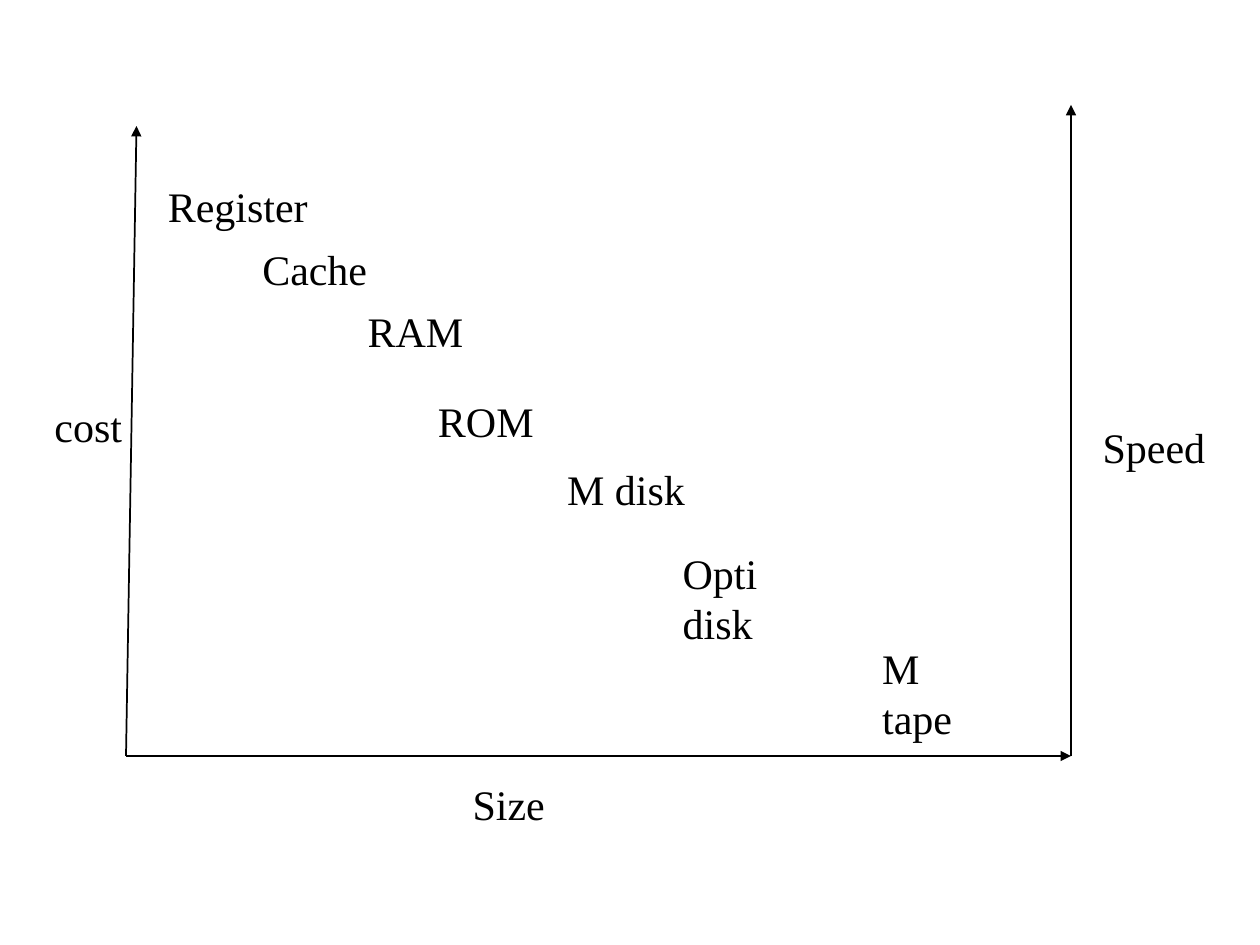
from lxml import etree
from pptx import Presentation
from pptx.dml.color import RGBColor
from pptx.enum import shapes, text
from pptx.oxml import ns
from pptx.util import Pt

INK = "000000"
FONT = "Times New Roman"
LABEL_HEIGHT = 36


def colour(value):
    return RGBColor.from_string(value)


def add_arrow(slide, start, end):
    arrow = slide.shapes.add_connector(
        shapes.MSO_CONNECTOR.STRAIGHT, *(Pt(value) for value in start + end)
    )
    arrow.line.color.rgb = colour(INK)
    arrow.line.width = Pt(1)
    outline = arrow.line._get_or_add_ln()
    etree.SubElement(outline, ns.qn("a:tailEnd"), type="triangle")
    etree.SubElement(arrow._element.spPr, ns.qn("a:effectLst"))


def add_label(slide, wording, left, top, width, wrap=False):
    label = slide.shapes.add_textbox(Pt(left), Pt(top), Pt(width), Pt(LABEL_HEIGHT))
    frame = label.text_frame
    frame.word_wrap = wrap
    frame.auto_size = text.MSO_AUTO_SIZE.SHAPE_TO_FIT_TEXT
    frame.text = wording
    font = frame.paragraphs[0].runs[0].font
    font.name = FONT
    font.size = Pt(24)
    font.color.rgb = colour(INK)


def add_axes(slide, left, top, width, height):
    right, bottom = left + width, top + height
    origin, corner = (left, bottom), (right, bottom)
    add_arrow(slide, origin, (left + 6, top + 12))
    add_arrow(slide, origin, corner)
    add_arrow(slide, corner, (right, top))
    add_label(slide, "cost", left - 48, top + 165.5, 54)
    add_label(slide, "Size", left + 191, bottom + 9.5, 61)
    add_label(slide, "Speed", right + 11, top + 177.5, 79)


def add_memory_levels(slide, left, top):
    levels = [
        ("Register", 16.8, 39.5, 100, False),
        ("Cache", 70.8, 75.5, 80, False),
        ("RAM", 131, 111.2, 69, False),
        ("ROM", 171.2, 162.2, 69, False),
        ("M disk", 245, 201.5, 81.5, False),
        ("Opti disk", 311, 249.3, 101, True),
        ("M tape", 425, 303.5, 79.5, True),
    ]
    for wording, across, down, width, wrap in levels:
        add_label(slide, wording, left + across, top + down, width, wrap)


def main():
    presentation = Presentation()
    presentation.slide_width = Pt(720)
    presentation.slide_height = Pt(540)
    slide = presentation.slides.add_slide(presentation.slide_layouts[6])
    add_axes(slide, 72, 60, 540, 372)
    add_memory_levels(slide, 72, 60)
    presentation.save("out.pptx")


if __name__ == "__main__":
    main()
